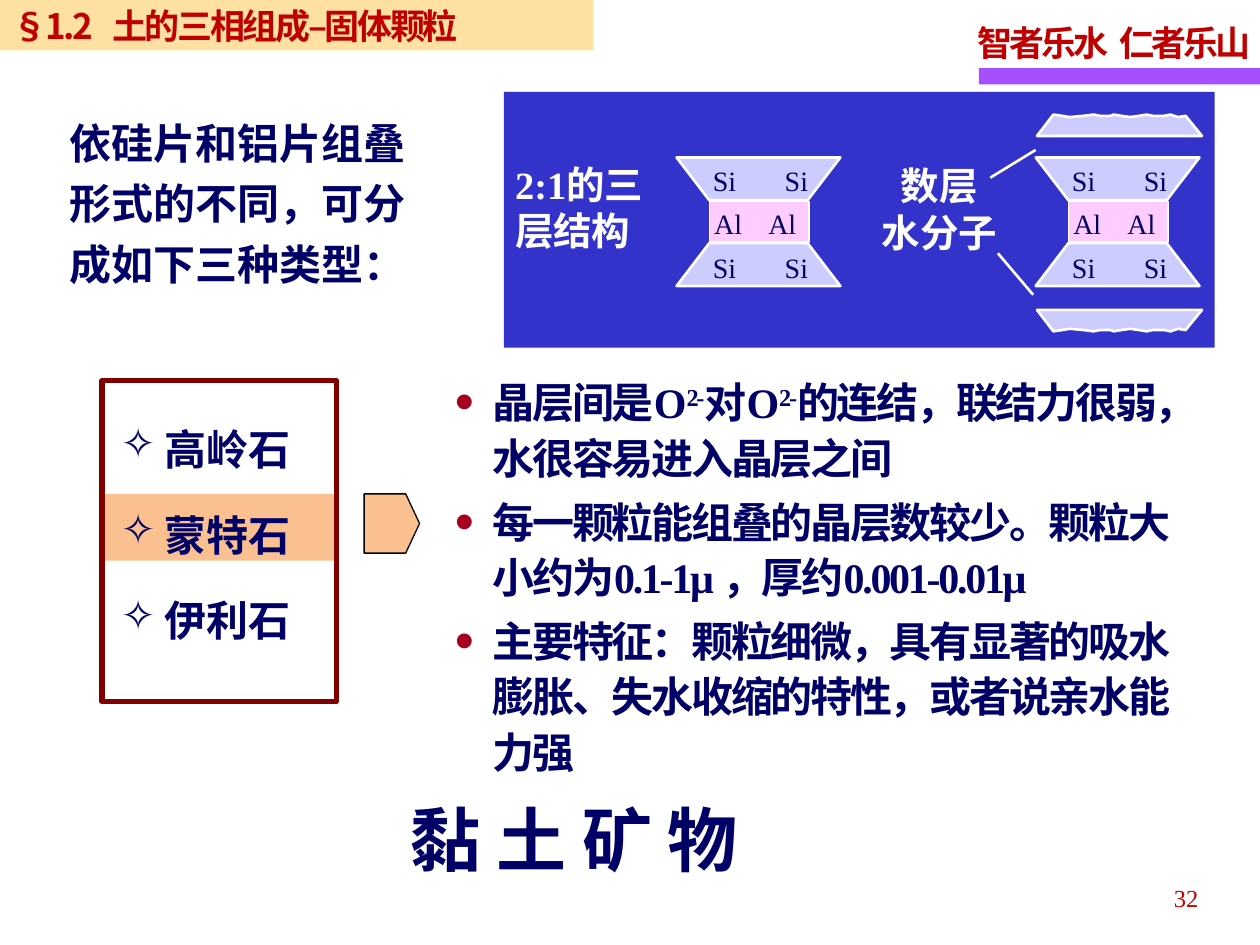
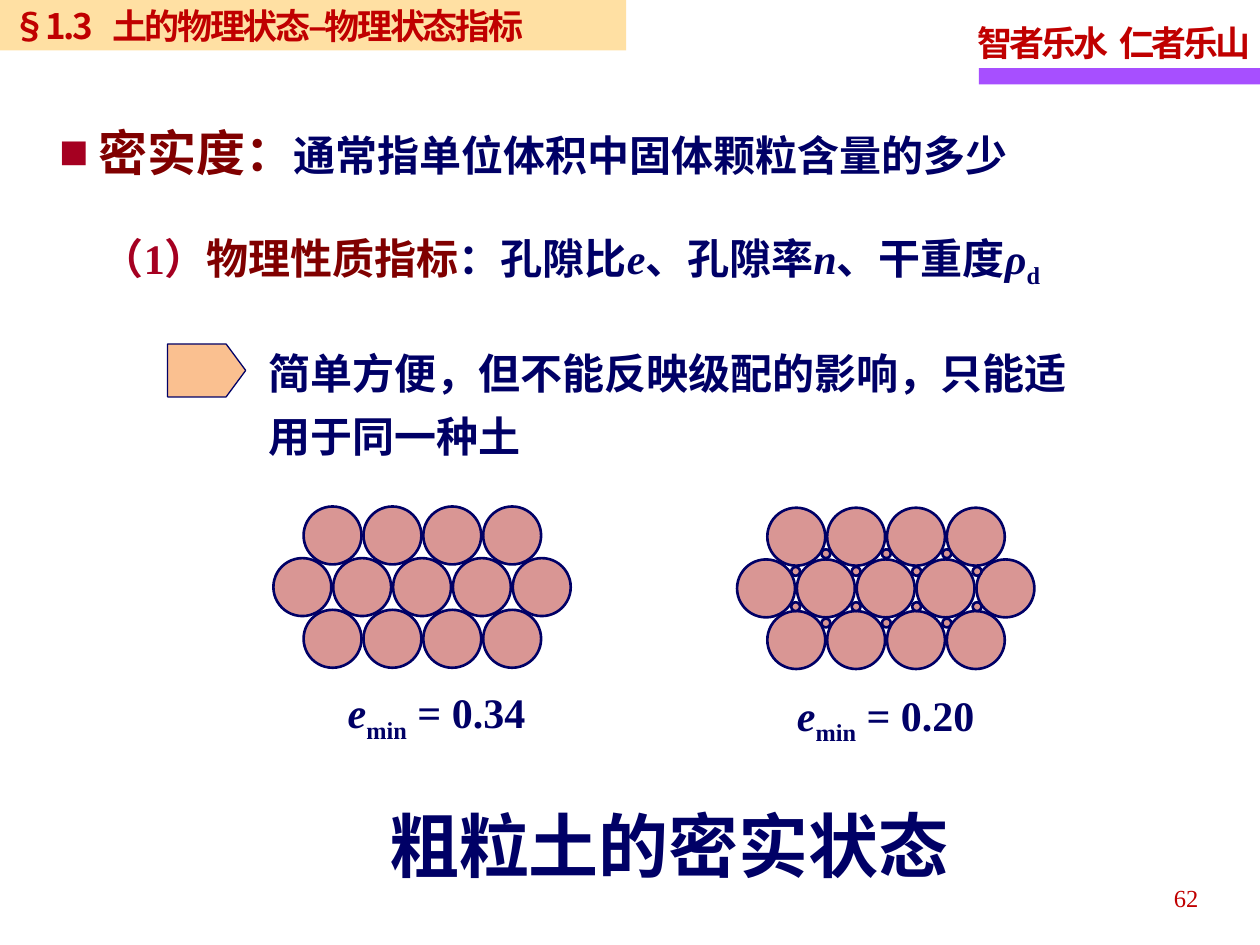
from dataclasses import dataclass, replace
from typing import Optional

from lxml.etree import SubElement
from pptx import Presentation
from pptx.dml.color import RGBColor
from pptx.enum.shapes import MSO_CONNECTOR, MSO_SHAPE
from pptx.enum.text import MSO_ANCHOR, MSO_AUTO_SIZE, PP_ALIGN
from pptx.oxml.ns import qn
from pptx.util import Inches, Pt

NAVY = RGBColor(0x00, 0x00, 0x66)
RED = RGBColor(0xC0, 0x00, 0x00)
CRIMSON = RGBColor(0xA5, 0x00, 0x21)
MAROON = RGBColor(0x80, 0x00, 0x00)
PURPLE = RGBColor(0xA7, 0x4F, 0xFF)
GOLD = RGBColor(0xFF, 0xCC, 0x66)
PEACH = RGBColor(0xFA, 0xC0, 0x90)
BLUE = RGBColor(0x33, 0x33, 0xCC)
LAVENDER = RGBColor(0xCC, 0xCC, 0xFF)
PINK = RGBColor(0xFF, 0xCC, 0xFF)
ROSE = RGBColor(0xD9, 0x96, 0x94)
WHITE = RGBColor(0xFF, 0xFF, 0xFF)
BLACK = RGBColor(0x00, 0x00, 0x00)

SERIF = "Times New Roman"
SANS = "Noto Sans CJK SC"
LINE_HEIGHT = 1.2
WATER_EDGE = [
    (8.36, 0.91), (8.23, 1.08), (9.54, 1.08), (9.41, 0.92), (9.35, 0.93),
    (9.29, 0.91), (9.24, 0.92), (9.15, 0.92), (9.10, 0.91), (9.04, 0.92),
    (8.97, 0.93), (8.90, 0.92), (8.84, 0.91), (8.81, 0.92), (8.73, 0.92),
    (8.68, 0.91), (8.60, 0.92), (8.49, 0.93), (8.43, 0.92),
]
WATER_MIRROR = 3.54


@dataclass(frozen=True)
class Span:
    text: str
    size: float = 24
    color: RGBColor = NAVY
    font: str = SERIF
    bold: bool = True
    italic: bool = False
    spacing: float = 0
    baseline: int = 0


@dataclass(frozen=True)
class Bullet:
    mark: str
    color: RGBColor
    indent: float
    percent: int = 100


@dataclass(frozen=True)
class Para:
    spans: list[Span]
    leading: Optional[float] = 1.0
    gap: float = 0
    align: PP_ALIGN = PP_ALIGN.LEFT
    bullet: Optional[Bullet] = None
    tab: Optional[float] = None


def place(shape, at: tuple) -> None:
    shape.left, shape.top, shape.width, shape.height = map(Inches, at)


def add_bullet(properties, bullet: Bullet) -> None:
    properties.set("marL", str(Inches(bullet.indent)))
    properties.set("indent", str(-Inches(bullet.indent)))
    color = SubElement(properties, qn("a:buClr"))
    SubElement(color, qn("a:srgbClr"), val=str(bullet.color))
    SubElement(properties, qn("a:buSzPct"), val=str(bullet.percent * 1000))
    SubElement(properties, qn("a:buChar"), char=bullet.mark)


def write_span(para, span: Span) -> None:
    run = para.add_run()
    run.text = span.text
    font = run.font
    font.size, font.name = Pt(span.size), span.font
    font.bold, font.italic = span.bold, span.italic
    font.color.rgb = span.color
    properties = run._r.get_or_add_rPr()
    SubElement(properties, qn("a:ea"), typeface=SANS)
    if span.spacing:
        properties.set("spc", str(round(span.spacing * 100)))
    if span.baseline:
        properties.set("baseline", str(span.baseline * 1000))


def write(frame, paras: list[Para], inset: bool = True, wrap: bool = True) -> None:
    frame.auto_size = MSO_AUTO_SIZE.NONE
    frame.word_wrap = wrap
    if not inset:
        frame.margin_left = frame.margin_right = 0
        frame.margin_top = frame.margin_bottom = 0
    for index, spec_para in enumerate(paras):
        para = frame.add_paragraph() if index else frame.paragraphs[0]
        properties = para._p.get_or_add_pPr()
        if spec_para.bullet:
            add_bullet(properties, spec_para.bullet)
        if spec_para.tab:
            tabs = SubElement(properties, qn("a:tabLst"))
            SubElement(tabs, qn("a:tab"), pos=str(Inches(spec_para.tab)), algn="l")
        para.alignment = spec_para.align
        para.space_before = Pt(spec_para.gap if index else 0)
        para.space_after = Pt(spec_para.gap)
        if spec_para.leading:
            para.line_spacing = Pt(round(spec_para.spans[0].size * LINE_HEIGHT * spec_para.leading, 1))
        for span in spec_para.spans:
            write_span(para, span)


def add_text(shapes, at: tuple, paras: list[Para], inset: bool = True, wrap: bool = True) -> None:
    box = shapes.add_textbox(*map(Inches, at))
    write(box.text_frame, paras, inset, wrap)


def paint(shape, fill: Optional[RGBColor], line: Optional[RGBColor], weight: float) -> None:
    shape.shadow.inherit = False
    if fill is None:
        shape.fill.background()
    else:
        shape.fill.solid()
        shape.fill.fore_color.rgb = fill
    if line is None:
        shape.line.fill.background()
    else:
        shape.line.color.rgb = line
        shape.line.width = Pt(weight)


def add_box(shapes, at: tuple, fill=None, line=None, weight: float = 1.5, kind=MSO_SHAPE.RECTANGLE):
    box = shapes.add_shape(kind, *map(Inches, at))
    paint(box, fill, line, weight)
    return box


def add_pointer(shapes, at: tuple, line: RGBColor, point: float) -> None:
    pointer = add_box(shapes, at, PEACH, line, 0.75, MSO_SHAPE.PENTAGON)
    pointer.adjustments[0] = point


def add_outline(shapes, points: list[tuple]) -> None:
    corners = [(Inches(x), Inches(y)) for x, y in points]
    builder = shapes.build_freeform(*corners[0])
    builder.add_line_segments(corners[1:], close=True)
    paint(builder.convert_to_shape(), LAVENDER, WHITE, 1.5)


def add_leader(shapes, start: tuple, end: tuple) -> None:
    leader = shapes.add_connector(MSO_CONNECTOR.STRAIGHT, *map(Inches, start + end))
    leader.line.color.rgb = WHITE
    leader.line.width = Pt(1.5)
    SubElement(leader._element.spPr, qn("a:effectLst"))


def start_slide(deck, section: str, heading: str, band_width: float, number: str):
    slide = deck.slides.add_slide(deck.slide_layouts[1])
    shapes = slide.shapes
    add_box(shapes, (7.77, 0.54, 2.23, 0.13), PURPLE)
    motto = Span("智者乐水", 20, RED, spacing=-1.7)
    add_text(shapes, (7.66, 0.07, 2.36, 0.49),
             [Para([motto, replace(motto, text=" ", spacing=1.6),
                    replace(motto, text="仁者乐山")], 1.15)], wrap=False)
    add_text(shapes, (7.28, 6.96, 2.33, 0.4),
             [Para([Span(number, 14, RED, bold=False)], None, align=PP_ALIGN.RIGHT)])
    title = shapes.title
    place(title, (0, 0, band_width, 0.4))
    title.fill.solid()
    title.fill.fore_color.rgb = GOLD
    color = title.fill._xPr.find(qn("a:solidFill"))[0]
    SubElement(color, qn("a:alpha"), val="60000")
    title.text_frame.vertical_anchor = MSO_ANCHOR.MIDDLE
    write(title.text_frame,
          [Para([Span(f"{section}\t{heading}", 20, RED, SANS, spacing=-1.4)], tab=0.79)])
    return slide


def add_caption(shapes, at: tuple, text: str) -> None:
    add_text(shapes, at, [Para([Span(text, 40, font=SANS)])])


def add_crystal(shapes, left: float) -> None:
    for wide, narrow, label_top in ((1.25, 1.59, 1.25), (2.27, 1.93, 1.94)):
        add_outline(shapes, [(left, wide), (left + 0.26, narrow),
                             (left + 1.04, narrow), (left + 1.3, wide)])
        add_label(shapes, left + 0.19, label_top, "Si", 0.57)
    add_box(shapes, (left + 0.26, 1.6, 0.79, 0.32), PINK, WHITE, 1)
    add_label(shapes, left + 0.2, 1.59, "Al", 0.43)


def add_label(shapes, left: float, top: float, element: str, tab: float) -> None:
    span = Span(f"{element}\t{element}", 16, bold=False)
    add_text(shapes, (left, top, 1.1, 0.37), [Para([span], None, tab=tab)])


def add_grains(shapes, left: float, top: float, fines: bool) -> None:
    for row, (count, offset) in enumerate(((4, 0.24), (5, 0), (4, 0.24))):
        for column in range(count):
            at = (left + offset + 0.475 * column, top + 0.41 * row, 0.46, 0.46)
            add_box(shapes, at, ROSE, NAVY, kind=MSO_SHAPE.OVAL)
    if not fines:
        return
    for column in range(7):
        for drop in ((0.33, 0.88) if column % 2 else (0.47, 0.75)):
            at = (left + 0.43 + 0.24 * column, top + drop, 0.07, 0.07)
            add_box(shapes, at, ROSE, NAVY, kind=MSO_SHAPE.OVAL)


def add_void_ratio(shapes, at: tuple, value: str) -> None:
    spans = [Span("e", italic=True), Span("min", baseline=-25), Span(f" = {value}")]
    add_text(shapes, at, [Para(spans, None, align=PP_ALIGN.CENTER)], inset=False, wrap=False)


def add_layer_panel(slide) -> None:
    add_box(slide.shapes, (4, 0.73, 5.64, 2.03), BLUE)
    shapes = slide.shapes.add_group_shape().shapes
    for at, lines, align in (
        ((3.99, 1.23, 1.29, 0.83), ("2:1的三", "层结构"), PP_ALIGN.LEFT),
        ((6.89, 1.24, 1.13, 0.83), ("数层", "水分子"), PP_ALIGN.CENTER),
    ):
        add_text(shapes, at, [Para([Span(line, 22, WHITE)], align=align) for line in lines])
    for left in (5.37, 8.22):
        add_crystal(shapes, left)
    add_outline(shapes, WATER_EDGE)
    add_outline(shapes, [(x, WATER_MIRROR - y) for x, y in WATER_EDGE])
    add_leader(shapes, (8.22, 1.19), (7.86, 1.41))
    add_leader(shapes, (8.2, 2.34), (7.92, 2.01))


def build_minerals(deck) -> None:
    slide = start_slide(deck, "§1.2", "土的三相组成–固体颗粒", 4.71, "32")
    shapes = slide.shapes
    add_box(shapes, (0.83, 3.92, 1.82, 0.53), PEACH)
    add_layer_panel(slide)
    plain = Span("", spacing=-1.3)
    charge = replace(plain, text="2-", baseline=30)
    features = [
        [replace(plain, text="晶层间是O"), charge, replace(plain, text="对O"), charge,
         replace(plain, text="的连结，联结力很弱，水很容易进入晶层之间")],
        [replace(plain, text="每一颗粒能组叠的晶层数较少。颗粒大小约为0.1-1μ ，厚约0.001-0.01μ")],
        [replace(plain, text="主要特征：颗粒细微，具有显著的吸水膨胀、失水收缩的特性，或者说亲水能力强")],
    ]
    body = slide.placeholders[1]
    place(body, (3.51, 2.9, 6.17, 3.37))
    dot = Bullet("•", CRIMSON, 0.3, 130)
    write(body.text_frame, [Para(spans, 1.1, 2.4, bullet=dot) for spans in features])
    add_text(shapes, (0.45, 0.8, 3.13, 1.54),
             [Para([Span("依硅片和铝片组叠形式的不同，可分成如下三种类型：", font=SANS)], 1.2)])
    star = Bullet("✧", NAVY, 0.35)
    add_text(shapes, (0.86, 3.13, 1.74, 2.08),
             [Para([Span(name, font=SANS)], 1.45, 3.6, bullet=star)
              for name in ("高岭石", "蒙特石", "伊利石")])
    add_pointer(shapes, (2.89, 3.92, 0.44, 0.47), BLACK, 0.25)
    add_box(shapes, (0.81, 3.02, 1.86, 2.55), line=MAROON, weight=3)
    add_caption(shapes, (3.16, 6.27, 3.68, 0.77), "黏 土 矿 物")


def build_density(deck) -> None:
    slide = start_slide(deck, "§1.3", "土的物理状态–物理状态指标", 4.97, "62")
    shapes = slide.shapes
    add_caption(shapes, (2.99, 6.32, 4.74, 0.77), "粗粒土的密实状态")
    body = slide.placeholders[1]
    place(body, (0.47, 0.97, 7.79, 0.47))
    write(body.text_frame,
          [Para([Span("密实度：", 28, MAROON, "Arial"), Span("通常指单位体积中固体颗粒含量的多少")],
                bullet=Bullet("■", CRIMSON, 0.31))], inset=False)
    add_text(shapes, (2.13, 2.66, 6.59, 0.94),
             [Para([Span("简单方便，但不能反映级配的影响，只能适用于同一种土", font=SANS)], 1.25)],
             inset=False)
    add_text(shapes, (0.71, 1.81, 8.1, 0.55),
             [Para([Span("（1）", color=CRIMSON), Span("物理性质指标", color=MAROON),
                    Span("：孔隙比"), Span("e", italic=True), Span("、孔隙率"),
                    Span("n", italic=True), Span("、干重度"), Span("ρ", italic=True),
                    Span("d", baseline=-25)], 1.1)])
    for left, top, fines, label_at, value in (
        (2.17, 4.02, False, (2.73, 5.45, 1.47, 0.4), "0.34"),
        (5.85, 4.03, True, (6.3, 5.47, 1.46, 0.4), "0.20"),
    ):
        group = shapes.add_group_shape().shapes
        add_grains(group, left, top, fines)
        add_void_ratio(group, label_at, value)
    add_pointer(shapes, (1.33, 2.73, 0.62, 0.42), NAVY, 0.37)


def main() -> None:
    deck = Presentation()
    deck.slide_width, deck.slide_height = Inches(10), Inches(7.5)
    build_minerals(deck)
    build_density(deck)
    deck.save("out.pptx")


if __name__ == "__main__":
    main()
